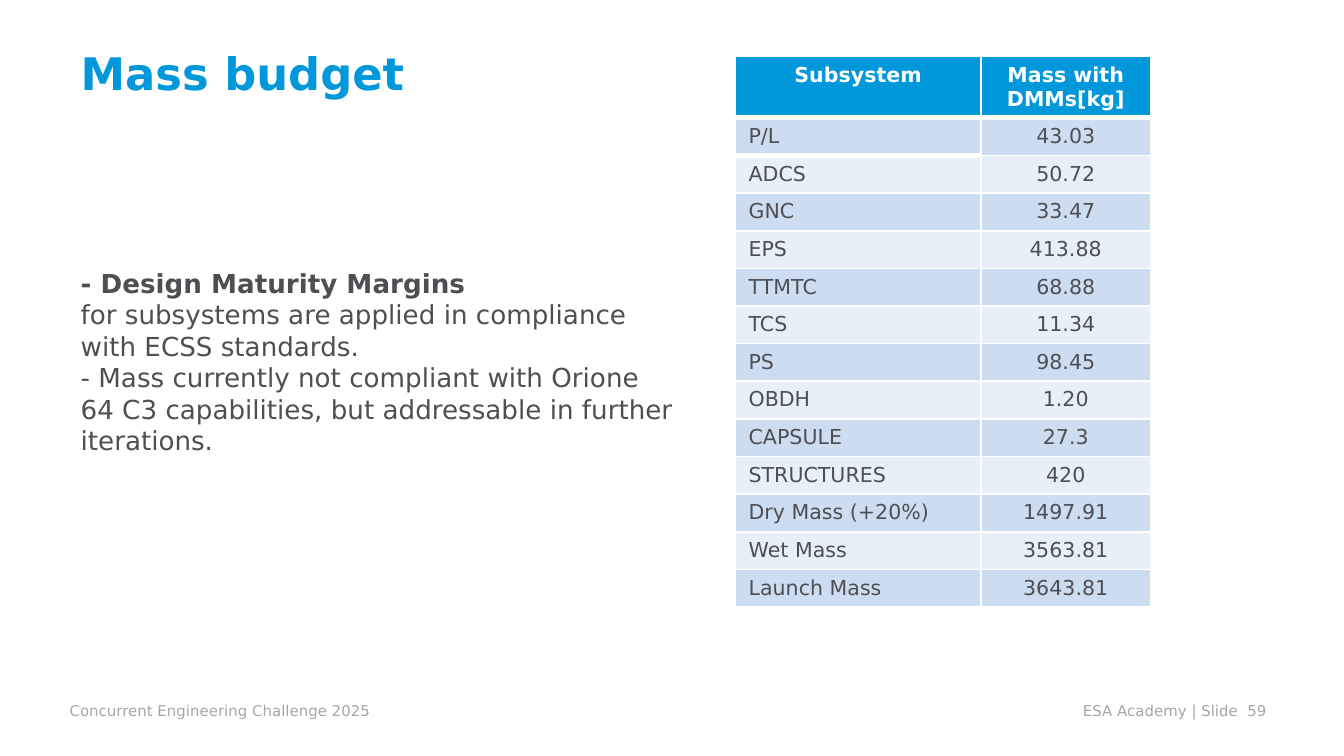
"""Build the mass budget slide with its subsystem table."""
from pptx import Presentation
from pptx.dml.color import RGBColor
from pptx.enum.text import MSO_ANCHOR, MSO_AUTO_SIZE, PP_ALIGN
from pptx.oxml import parse_xml
from pptx.oxml.ns import nsdecls
from pptx.util import Inches, Pt

BLUE = RGBColor(0x00, 0x98, 0xDB)
DARK = RGBColor(0x4D, 0x4F, 0x53)
GREY = RGBColor(0xA4, 0xA6, 0xAB)
WHITE = RGBColor(0xFF, 0xFF, 0xFF)
BANDS = [RGBColor(0xCC, 0xDD, 0xF1), RGBColor(0xE7, 0xEF, 0xF8)]

TITLE = "Mass budget"
NOTES = [
    ("- Design Maturity Margins", True),
    ("for subsystems are applied in compliance with ECSS standards.", False),
    ("- Mass currently not compliant with Orione 64 C3 capabilities, "
     "but addressable in further iterations.", False),
]
HEAD = ("Subsystem", "Mass with DMMs[kg]")
MASSES = [
    ("P/L", "43.03"),
    ("ADCS", "50.72"),
    ("GNC", "33.47"),
    ("EPS", "413.88"),
    ("TTMTC", "68.88"),
    ("TCS", "11.34"),
    ("PS", "98.45"),
    ("OBDH", "1.20"),
    ("CAPSULE", "27.3"),
    ("STRUCTURES", "420"),
    ("Dry Mass (+20%)", "1497.91"),
    ("Wet Mass", "3563.81"),
    ("Launch Mass", "3643.81"),
]
FOOTERS = [
    ("Concurrent Engineering Challenge 2025", 0.42, 2.5),
    ("ESA Academy | Slide  59", 7.96, 1.6),
]
COLS = (1.83, 1.26)
HEAD_H, ROW_H = 0.45, 0.28


def style(para, size, color, bold=False, align=PP_ALIGN.LEFT):
    para.alignment = align
    para.font.color.rgb = color
    looks = {"name": "DejaVu Sans", "size": Pt(size), "bold": bold}
    for key, value in looks.items():
        setattr(para.font, key, value)


def place(shape, left, top, width, height):
    box = {"left": left, "top": top, "width": width, "height": height}
    for key, value in box.items():
        setattr(shape, key, Inches(value))


def edge(side, width):
    return parse_xml(
        f'<a:{side} {nsdecls("a")} w="{Pt(width)}"><a:solidFill>'
        f'<a:srgbClr val="{WHITE}"/></a:solidFill></a:{side}>')


def add_title(slide):
    title = slide.shapes.title
    place(title, 0.5, 0.07, 9, 0.94)
    frame = title.text_frame
    frame.text = TITLE
    frame.auto_size = MSO_AUTO_SIZE.NONE
    frame.vertical_anchor = MSO_ANCHOR.MIDDLE
    style(frame.paragraphs[0], 24, BLUE, True)


def add_notes(slide):
    body = slide.placeholders[1]
    place(body, 0.5, 1.94, 4.63, 1.51)
    frame = body.text_frame
    frame.text = "\n".join(text for text, _ in NOTES)
    frame.auto_size = MSO_AUTO_SIZE.NONE
    for para, (_, bold) in zip(frame.paragraphs, NOTES):
        props = para._p.get_or_add_pPr()
        props.set("marL", "0")
        props.set("indent", "0")
        props.append(parse_xml(f'<a:buNone {nsdecls("a")}/>'))
        para.space_before = Pt(0)
        style(para, 14, DARK, bold)


def add_masses(slide):
    rows = [HEAD] + MASSES
    high = HEAD_H + ROW_H * len(MASSES)
    table = slide.shapes.add_table(
        len(rows), len(COLS), Inches(5.47), Inches(0.42),
        Inches(sum(COLS)), Inches(high)).table
    for col, width in zip(table.columns, COLS):
        col.width = Inches(width)
    for r, row in enumerate(rows):
        table.rows[r].height = Inches(ROW_H if r else HEAD_H)
        for c, text in enumerate(row):
            cell = table.cell(r, c)
            cell.text = text
            cell.margin_bottom = Inches(0.04)
            left = r > 0 and c == 0
            align = PP_ALIGN.LEFT if left else PP_ALIGN.CENTER
            style(cell.text_frame.paragraphs[0], 11,
                  DARK if r else WHITE, r == 0, align)
            thick = {"lnT": r == 1 or (r, c) == (2, 0),
                     "lnB": r == 0 or (r, c) == (1, 0)}
            sides = ("lnL", "lnR", "lnT", "lnB") if r else ("lnT", "lnB")
            props = cell._tc.get_or_add_tcPr()
            for side in sides:
                props.append(edge(side, 3 if thick.get(side) else 1))
            cell.fill.solid()
            cell.fill.fore_color.rgb = BANDS[(r - 1) % 2] if r else BLUE


def add_footers(slide):
    for text, left, width in FOOTERS:
        box = slide.shapes.add_textbox(
            Inches(left), Inches(5.17), Inches(width), Inches(0.21))
        frame = box.text_frame
        frame.text = text
        frame.margin_right = 0
        style(frame.paragraphs[0], 8, GREY)


def main():
    deck = Presentation()
    deck.slide_width = Inches(10)
    deck.slide_height = deck.slide_width * 9 // 16
    slide = deck.slides.add_slide(deck.slide_layouts[1])
    for add in (add_footers, add_title, add_masses, add_notes):
        add(slide)
    deck.save("out.pptx")


if __name__ == "__main__":
    main()
